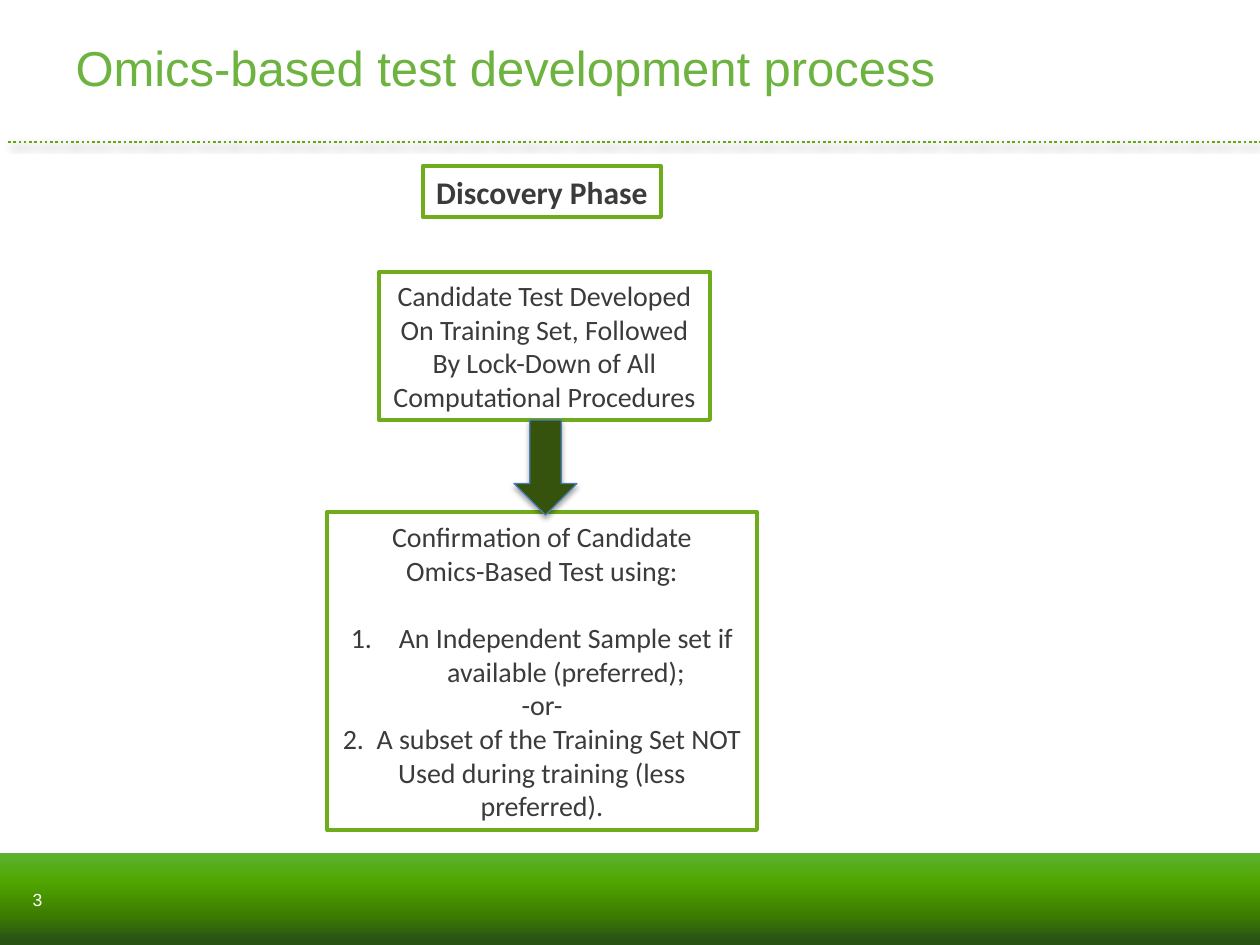
from lxml.etree import SubElement
from pptx import Presentation
from pptx.dml.color import RGBColor
from pptx.enum.dml import MSO_LINE
from pptx.enum.shapes import MSO_CONNECTOR, MSO_SHAPE
from pptx.enum.text import MSO_ANCHOR, MSO_AUTO_SIZE, PP_ALIGN
from pptx.oxml.ns import qn
from pptx.util import Pt

EMU_PER_PX = 914400 / 126
WHITE = RGBColor(0xFF, 0xFF, 0xFF)
TITLE_GREEN = RGBColor(0x6D, 0xB3, 0x3F)
RULE_GREEN = RGBColor(0x64, 0xA7, 0x0B)
BOX_GREEN = RGBColor(0x6E, 0xAC, 0x1B)
ARROW_GREEN = RGBColor(0x35, 0x53, 0x0D)
ARROW_BLUE = RGBColor(0x4B, 0x7E, 0xBC)
TEXT_GRAY = RGBColor(0x3B, 0x3B, 0x3B)
FOOTER_STOPS = [
    (5, RGBColor(0x28, 0x53, 0x15)),
    (33, RGBColor(0x3D, 0x7D, 0x00)),
    (70, RGBColor(0x51, 0xA7, 0x00)),
    (100, RGBColor(0x5B, 0xB2, 0x32)),
]


def px(*lengths):
    return [round(length * EMU_PER_PX) for length in lengths]


def write_text(paragraph, text, *, font="Calibri", size=16, color=TEXT_GRAY,
               bold=False, align=PP_ALIGN.CENTER, numbered=False):
    paragraph.alignment = align
    if numbered:
        properties = paragraph._p.get_or_add_pPr()
        indent = px(48)[0]
        properties.set("marL", str(indent))
        properties.set("indent", str(-indent))
        SubElement(properties, qn("a:buAutoNum"), type="arabicPeriod")
    run = paragraph.add_run()
    run.text = text
    run.font.name = font
    run.font.size = Pt(size)
    run.font.bold = bold
    run.font.color.rgb = color


def set_shadow(shape, alpha, blur, distance, direction):
    effects = SubElement(shape._element.spPr, qn("a:effectLst"))
    shadow = SubElement(effects, qn("a:outerShdw"), blurRad=str(Pt(blur)),
                        dist=str(Pt(distance)), dir=str(direction * 60000),
                        algn="ctr", rotWithShape="0")
    color = SubElement(shadow, qn("a:srgbClr"), val="000000")
    SubElement(color, qn("a:alpha"), val=str(alpha * 1000))


class SlideBuilder:
    def __init__(self, presentation):
        self.slide = presentation.slides.add_slide(presentation.slide_layouts[5])
        self.shapes = self.slide.shapes

    def title(self, text, left, top, width, height):
        title = self.shapes.title
        title.left, title.top, title.width, title.height = px(left, top, width, height)
        frame = title.text_frame
        frame.vertical_anchor = MSO_ANCHOR.MIDDLE
        frame.paragraphs[0].line_spacing = 0.9
        write_text(frame.paragraphs[0], text, font="Arial", size=28,
                   color=TITLE_GREEN, align=PP_ALIGN.LEFT)

    def footer_band(self, left, top, width, height):
        band = self.shapes.add_shape(MSO_SHAPE.RECTANGLE, *px(left, top, width, height))
        band.shadow.inherit = False
        band.line.fill.background()
        band.fill.gradient()
        band.fill.gradient_angle = 90
        stops = band._element.spPr.find(".//" + qn("a:gsLst"))
        for stop in list(stops):
            stops.remove(stop)
        for position, color in FOOTER_STOPS:
            stop = SubElement(stops, qn("a:gs"), pos=str(position * 1000))
            SubElement(stop, qn("a:srgbClr"), val=str(color))

    def dotted_rule(self, left, right, y):
        rule = self.shapes.add_connector(MSO_CONNECTOR.STRAIGHT, *px(left, y, right, y))
        rule.line.color.rgb = RULE_GREEN
        rule.line.width = Pt(1.5)
        rule.line.dash_style = MSO_LINE.ROUND_DOT
        set_shadow(rule, alpha=40, blur=4, distance=3, direction=45)

    def page_number(self, text, left, top, width, height):
        frame = self.shapes.add_textbox(*px(left, top, width, height)).text_frame
        frame.word_wrap = True
        frame.vertical_anchor = MSO_ANCHOR.MIDDLE
        write_text(frame.paragraphs[0], text, font="Arial", size=10, color=WHITE)

    def box(self, lines, left, top, width, height, *, wrap=False, **style):
        box = self.shapes.add_shape(MSO_SHAPE.RECTANGLE, *px(left, top, width, height))
        box.shadow.inherit = False
        box.fill.background()
        box.line.color.rgb = BOX_GREEN
        box.line.width = Pt(2.25)
        frame = box.text_frame
        frame.word_wrap = wrap
        frame.auto_size = MSO_AUTO_SIZE.SHAPE_TO_FIT_TEXT
        frame.vertical_anchor = MSO_ANCHOR.MIDDLE
        for index, line in enumerate(lines):
            paragraph = frame.add_paragraph() if index else frame.paragraphs[0]
            write_text(paragraph, line, **style)
        return frame

    def numbered_item(self, frame, text, space_before):
        paragraph = frame.add_paragraph()
        write_text(paragraph, text, numbered=True)
        paragraph.space_before = Pt(space_before)

    def lines_after(self, frame, lines):
        for line in lines:
            write_text(frame.add_paragraph(), line)

    def down_arrow(self, left, top, width, height):
        arrow = self.shapes.add_shape(MSO_SHAPE.DOWN_ARROW, *px(left, top, width, height))
        arrow.fill.solid()
        arrow.fill.fore_color.rgb = ARROW_GREEN
        arrow.line.color.rgb = ARROW_BLUE
        arrow.line.width = Pt(0.75)
        set_shadow(arrow, alpha=35, blur=3.1, distance=1.8, direction=90)


def main():
    presentation = Presentation()
    presentation.slide_width, presentation.slide_height = px(1260, 945)
    builder = SlideBuilder(presentation)
    builder.footer_band(0, 853, 1260, 92)
    builder.dotted_rule(8, 1260, 142)
    builder.title("Omics-based test development process", 63, 10, 1114, 122)
    builder.page_number("3", 0, 853, 75, 92)
    builder.box(["Discovery Phase"], 423, 166, 238, 51, size=18, bold=True)
    builder.box(["Candidate Test Developed", "On Training Set, Followed",
                 "By Lock-Down of All", "Computational Procedures"],
                379, 272, 331, 148)
    confirmation = builder.box(["Confirmation of Candidate", "Omics-Based Test using:"],
                               327, 512, 430, 318, wrap=True)
    builder.numbered_item(confirmation,
                          "An Independent Sample set if available (preferred);",
                          space_before=19.5)
    builder.lines_after(confirmation, [
        "-or-",
        "2.  A subset of the Training Set NOT Used during training (less preferred).",
    ])
    builder.down_arrow(514, 420, 63, 95)
    presentation.save("out.pptx")


if __name__ == "__main__":
    main()
